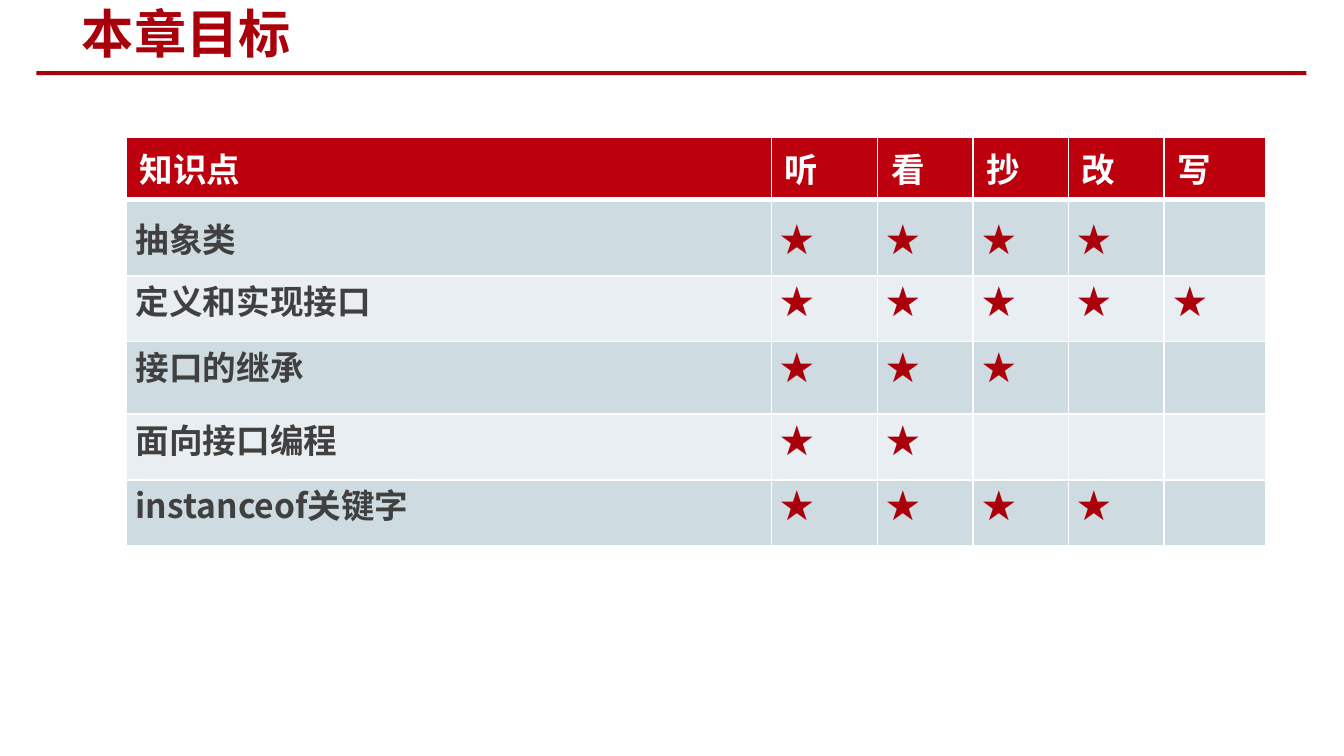
from dataclasses import dataclass

from lxml.etree import SubElement
from pptx import Presentation
from pptx.dml.color import RGBColor
from pptx.enum.shapes import MSO_SHAPE
from pptx.enum.text import MSO_ANCHOR, MSO_AUTO_SIZE, PP_ALIGN
from pptx.oxml.ns import qn
from pptx.util import Inches, Pt

# Content: each topic with the number of skill levels it reaches
TITLE = "本章目标"
HEADERS = ["知识点", "听", "看", "抄", "改", "写"]
TOPICS = [
    ("抽象类", 4),
    ("定义和实现接口", 5),
    ("接口的继承", 3),
    ("面向接口编程", 2),
    ("instanceof关键字", 4),
]
STAR = "★"
COLUMN_WIDTHS = [4.8, 0.79, 0.71, 0.71, 0.71, 0.76]
ROW_HEIGHTS = [0.4, 0.57, 0.49, 0.54, 0.49, 0.49]


@dataclass(frozen=True)
class Theme:
    font: str = "Noto Sans CJK SC"
    accent: str = "AA000B"
    header: str = "BC000D"
    text: str = "404040"
    white: str = "FFFFFF"
    bands: tuple = ("CEDCE1", "E8EEF1")
    title_size: int = 28
    table_size: int = 18


THEME = Theme()


def style_paragraph(paragraph, size, color):
    font = paragraph.font
    font.name, font.size, font.bold = THEME.font, Pt(size), True
    font.color.rgb = RGBColor.from_string(color)
    SubElement(font._element, qn("a:ea"), typeface=THEME.font)


def add_borders(cell, top, bottom):
    properties = cell._tc.get_or_add_tcPr()
    for side, width in (("L", 1), ("R", 1), ("T", top), ("B", bottom)):
        line = SubElement(properties, qn(f"a:ln{side}"), w=str(Pt(width)))
        fill = SubElement(line, qn("a:solidFill"))
        SubElement(fill, qn("a:srgbClr"), val=THEME.white)


def fill_cell(cell, text, color, fill, margins, borders):
    add_borders(cell, *borders)
    cell.fill.solid()
    cell.fill.fore_color.rgb = RGBColor.from_string(fill)
    cell.margin_left = cell.margin_right = Inches(margins[0])
    cell.margin_top = cell.margin_bottom = Inches(margins[1])
    cell.text = text
    style_paragraph(cell.text_frame.paragraphs[0], THEME.table_size, color)


# Widescreen slide, 16:9
presentation = Presentation()
presentation.slide_width = Inches(10)
presentation.slide_height = Inches(10 * 9 / 16)
slide = presentation.slides.add_slide(presentation.slide_layouts[5])

# Title and rule
title = slide.shapes.title
title.left, title.top = Inches(0.51), Inches(0.02)
title.width, title.height = Inches(5.3), Inches(0.45)
title.text = TITLE
title.text_frame.auto_size = MSO_AUTO_SIZE.NONE
title.text_frame.vertical_anchor = MSO_ANCHOR.MIDDLE
title_paragraph = title.text_frame.paragraphs[0]
title_paragraph.alignment = PP_ALIGN.LEFT
style_paragraph(title_paragraph, THEME.title_size, THEME.accent)

rule = slide.shapes.add_shape(
    MSO_SHAPE.RECTANGLE, Inches(0.27), Inches(0.53), Inches(9.45), Inches(0.03))
rule.shadow.inherit = False
rule.fill.solid()
rule.fill.fore_color.rgb = RGBColor.from_string(THEME.accent)
rule.line.fill.background()

# Table of topics; the header row grows to fit its text
table = slide.shapes.add_table(
    len(ROW_HEIGHTS), len(COLUMN_WIDTHS), Inches(0.94), Inches(1.02),
    Inches(sum(COLUMN_WIDTHS)), Inches(sum(ROW_HEIGHTS))).table
for column, width in zip(table.columns, COLUMN_WIDTHS):
    column.width = Inches(width)
for row, height in zip(table.rows, ROW_HEIGHTS):
    row.height = Inches(height)

for column_index, header in enumerate(HEADERS):
    fill_cell(table.cell(0, column_index), header, THEME.white, THEME.header,
              (0.1, 0.05), (1, 3))

for row_index, (topic, level) in enumerate(TOPICS, start=1):
    band = THEME.bands[(row_index - 1) % 2]
    first = row_index == 1
    for column_index in range(len(HEADERS)):
        cell = table.cell(row_index, column_index)
        if column_index == 0:
            text, color = topic, THEME.text
        else:
            text, color = STAR if column_index <= level else "", THEME.accent
        fill_cell(cell, text, color, band, (0.07, 0), (3 if first else 1, 1))
        cell.vertical_anchor = MSO_ANCHOR.MIDDLE if first else MSO_ANCHOR.TOP

presentation.save("out.pptx")
